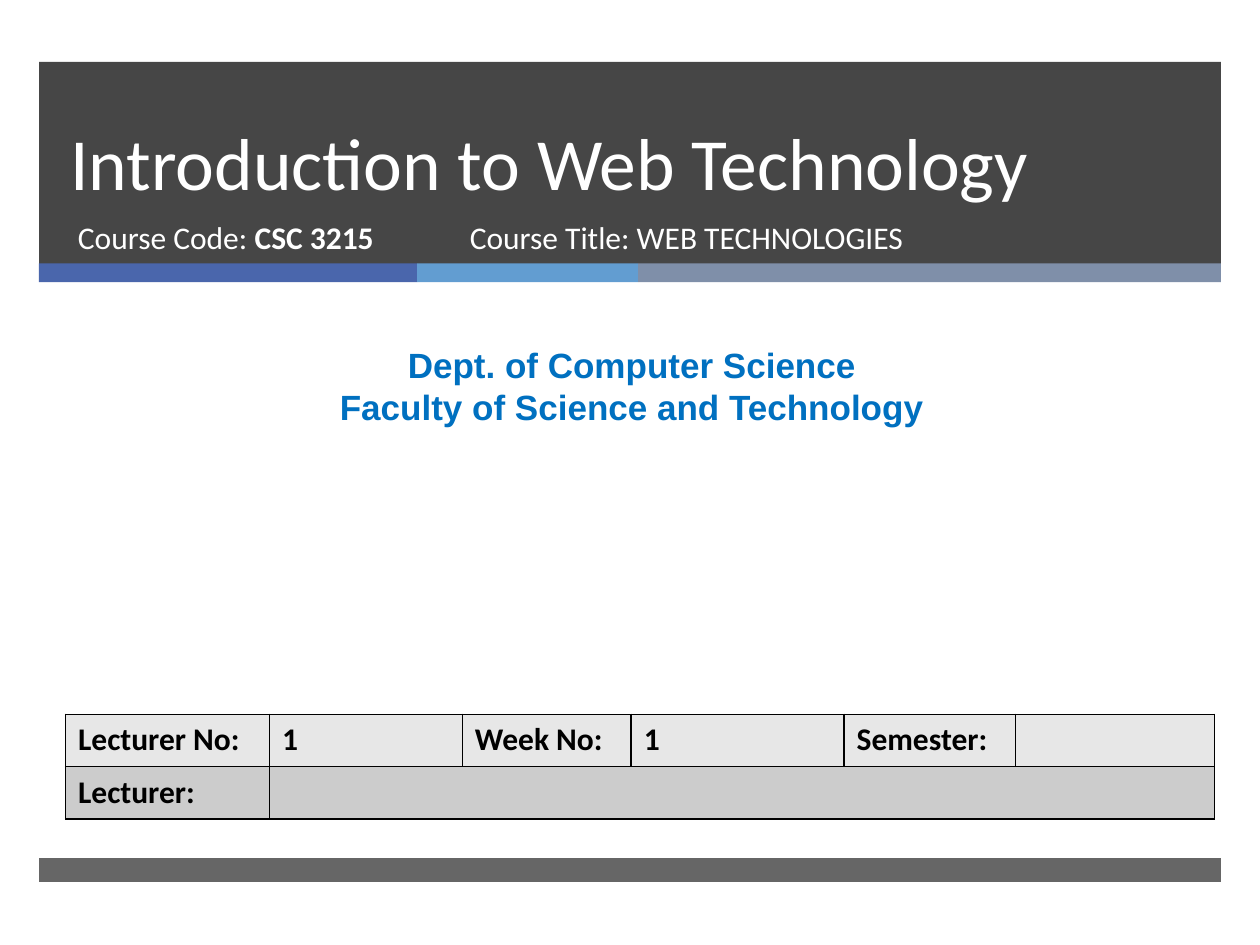
from itertools import accumulate
from lxml.etree import SubElement
from pptx import Presentation
from pptx.dml.color import RGBColor as RGB
from pptx.enum.shapes import MSO_SHAPE as SHAPE
from pptx.enum.text import MSO_ANCHOR as ANCHOR, MSO_AUTO_SIZE as AUTO, PP_ALIGN as ALIGN
from pptx.oxml.ns import qn
from pptx.util import Inches, Pt

WHITE = RGB(0xFF, 0xFF, 0xFF)
BLACK = RGB(0, 0, 0)
DARK = RGB(0x26, 0x26, 0x26)
BLUE = RGB(0x00, 0x70, 0xC0)
BANDS = [RGB(0x4A, 0x66, 0xAC), RGB(0x62, 0x9D, 0xD1), RGB(0x7F, 0x8F, 0xA9)]
GREYS = [RGB(0xE7, 0xE7, 0xE7), RGB(0xCC, 0xCC, 0xCC)]

LIGHT = dict(name="Calibri", size=Pt(18), bold=False, color=WHITE)
TITLE = LIGHT | dict(size=Pt(42))
DEPT = dict(name="Arial", size=Pt(20), bold=True, color=BLUE)
CELL = LIGHT | dict(bold=True, color=BLACK)


def style(font, look):
    """Apply a dict of format values to a font."""
    for key, value in look.items():
        if key == "color":
            font.color.rgb = value
        else:
            setattr(font, key, value)


def place(item, box):
    """Move and size an item to a box in inches."""
    for key, value in zip(("left", "top", "width", "height"), box):
        setattr(item, key, Inches(value))


def bar(slide, box, color, alpha=100):
    """Draw a plain bar with an opacity in percent."""
    shape = slide.shapes.add_shape(SHAPE.RECTANGLE, *map(Inches, box))
    shape.shadow.inherit = False
    shape.line.fill.background()
    shape.fill.solid()
    shape.fill.fore_color.rgb = color
    if alpha < 100:
        tint = shape.fill._xPr.find(".//" + qn("a:srgbClr"))
        SubElement(tint, qn("a:alpha"), val=str(alpha * 1000))


def text(slide, box, lines, look, align=ALIGN.LEFT):
    """Add a text box whose lines are lists of (words, bold) runs."""
    frame = slide.shapes.add_textbox(*map(Inches, box)).text_frame
    frame.word_wrap = True
    for i, runs in enumerate(lines):
        para = frame.add_paragraph() if i else frame.paragraphs[0]
        para.alignment = align
        for words, bold in runs:
            run = para.add_run()
            run.text = words
            style(run.font, look | dict(bold=bold))


def header(slide, box):
    """Build the dark header with its title and course lines."""
    x, y, w, h = box
    bar(slide, box, DARK, 85)
    title = slide.shapes.title
    place(title, (x + 0.15, y, 8.54, 1.19))
    frame = title.text_frame
    frame.text = "Introduction to Web Technology"
    frame.auto_size = AUTO.NONE
    frame.vertical_anchor = ANCHOR.BOTTOM
    para = frame.paragraphs[0]
    para.alignment = ALIGN.LEFT
    para.line_spacing = Pt(46)
    style(para.runs[0].font, TITLE)
    slide.shapes._spTree.append(title._element)
    row = y + 1.19
    text(slide, (x + 0.21, row, 3.05, 0.53),
         [[("Course Code: ", False), ("CSC 3215", True)]], LIGHT)
    text(slide, (x + 3.32, row, 4.55, 0.53),
         [[("Course Title: WEB TECHNOLOGIES", False)]], LIGHT)


def stripe(slide, box):
    """Split a box into three coloured bands."""
    x, y, w, h = box
    parts = [0.32, 0.187, 0.493]
    for start, part, color in zip(accumulate(parts, initial=0), parts, BANDS):
        bar(slide, (x + start * w, y, part * w, h), color)


def edge(cell):
    """Give a cell thin black borders."""
    props = cell._tc.get_or_add_tcPr()
    for i, side in enumerate(("lnL", "lnR", "lnT", "lnB")):
        line = SubElement(props, qn("a:" + side), w=str(Pt(1)))
        fill = SubElement(line, qn("a:solidFill"))
        SubElement(fill, qn("a:srgbClr"), val=str(BLACK))
        props.remove(line)
        props.insert(i, line)


def details(slide, box):
    """Build the table of lecture details."""
    rows = [["Lecturer No:", "1", "Week No:", "1", "Semester:", ""],
            ["Lecturer:"] + [""] * 5]
    table = slide.shapes.add_table(2, 6, *map(Inches, box)).table
    table.first_row = table.horz_banding = False
    for col, width in zip(table.columns, (1.62, 1.53, 1.34, 1.69, 1.36, 1.58)):
        col.width = Inches(width)
    for r, (words, grey) in enumerate(zip(rows, GREYS)):
        for c, word in enumerate(words):
            cell = table.cell(r, c)
            cell.fill.solid()
            cell.fill.fore_color.rgb = grey
            edge(cell)
            cell.text = word
            style(cell.text_frame.paragraphs[0].font, CELL)
    table.cell(1, 1).merge(table.cell(1, 5))


def main():
    """Build and save the slide."""
    deck = Presentation()
    deck.slide_width, deck.slide_height = Inches(10), Inches(7.5)
    slide = deck.slides.add_slide(deck.slide_layouts[5])
    left, wide = 0.31, 9.38
    header(slide, (left, 0.49, wide, 1.61))
    stripe(slide, (left, 2.09, wide, 0.15))
    bar(slide, (left, 6.81, wide, 0.19), DARK, 70)
    text(slide, (0.08, 2.68, 9.87, 0.77),
         [[("Dept. of Computer Science", True)],
          [("Faculty of Science and Technology", True)]], DEPT, ALIGN.CENTER)
    details(slide, (0.52, 5.67, 9.12, 0.83))
    deck.save("out.pptx")


if __name__ == "__main__":
    main()
